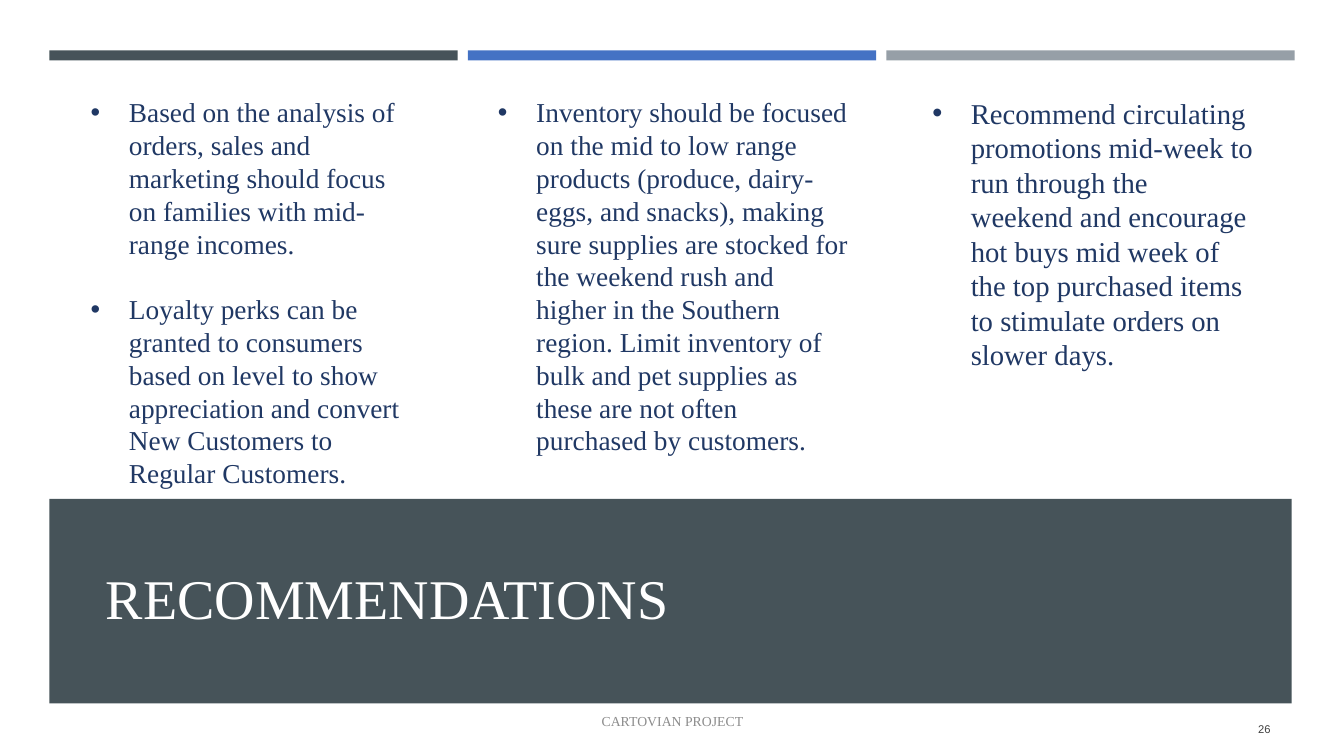
from pptx import Presentation
from pptx.dml.color import RGBColor
from pptx.enum.shapes import MSO_SHAPE
from pptx.enum.text import MSO_ANCHOR, PP_ALIGN
from pptx.oxml import parse_xml
from pptx.oxml.ns import nsdecls
from pptx.util import Inches, Pt

SERIF = "Times New Roman"
SLATE = "465359"
NAVY = "203864"


def color(code):
    """Turn a hex string into a colour."""
    return RGBColor.from_string(code)


def add_bar(slide, left, top, width, height, fill):
    """Draw a plain filled rectangle."""
    bar = slide.shapes.add_shape(
        MSO_SHAPE.RECTANGLE, Inches(left), Inches(top), Inches(width), Inches(height))
    bar.shadow.inherit = False
    bar.fill.solid()
    bar.fill.fore_color.rgb = color(fill)
    bar.line.fill.background()


def add_run(para, text, size, font, code):
    """Add one formatted run to a paragraph."""
    run = para.add_run()
    run.text = text
    run.font.size = Pt(size)
    run.font.name = font
    run.font.color.rgb = color(code)


def add_box(slide, left, top, width, height, anchor=MSO_ANCHOR.TOP):
    """Add a wrapping text box and return its frame."""
    box = slide.shapes.add_textbox(
        Inches(left), Inches(top), Inches(width), Inches(height))
    frame = box.text_frame
    frame.word_wrap = True
    frame.vertical_anchor = anchor
    return frame


def set_bullet(para):
    """Give a paragraph a round bullet with a hanging indent."""
    props = para._p.get_or_add_pPr()
    props.set("marL", str(Inches(0.38)))
    props.set("indent", str(-Inches(0.38)))
    props.append(parse_xml(f'<a:buFont {nsdecls("a")} typeface="Arial"/>'))
    props.append(parse_xml(f'<a:buChar {nsdecls("a")} char="•"/>'))


def add_list(slide, left, width, height, size, items):
    """Add a column of bulleted advice."""
    frame = add_box(slide, left, 0.9, width, height)
    for i, item in enumerate(items):
        para = frame.add_paragraph() if i else frame.paragraphs[0]
        para.line_spacing = Pt(size * 1.2)
        if i:
            para.space_before = Pt(size * 1.2)
        set_bullet(para)
        add_run(para, item, size, SERIF, NAVY)


def set_title(slide, text):
    """Place and format the title."""
    title = slide.shapes.title
    title.left, title.top = Inches(0.95), Inches(5.15)
    title.width, title.height = Inches(11.75), Inches(1.64)
    frame = title.text_frame
    frame.word_wrap = True
    frame.vertical_anchor = MSO_ANCHOR.MIDDLE
    para = frame.paragraphs[0]
    para.alignment = PP_ALIGN.LEFT
    para.line_spacing = 0.9
    add_run(para, text, 40, SERIF, "FFFFFF")


def add_note(slide, left, top, width, align, text, size, font, code):
    """Add a one-line footer text."""
    frame = add_box(slide, left, top, width, 0.4, MSO_ANCHOR.MIDDLE)
    para = frame.paragraphs[0]
    para.alignment = align
    add_run(para, text, size, font, code)


def main():
    """Build the slide and save it."""
    deck = Presentation()
    deck.slide_width, deck.slide_height = Inches(13.33), Inches(7.5)
    slide = deck.slides.add_slide(deck.slide_layouts[5])

    for i, fill in enumerate([SLATE, "4472C4", "969FA7"]):
        add_bar(slide, 0.49 + 4.15 * i, 0.5, 4.05, 0.1, fill)
    add_bar(slide, 0.49, 4.95, 12.32, 2.03, SLATE)
    title = slide.shapes.title._element
    title.getparent().append(title)
    set_title(slide, "RECOMMENDATIONS")

    add_list(slide, 0.8, 3.35, 4.05, 19.5, [
        "Based on the analysis of orders, sales and marketing should focus on "
        "families with mid-range incomes.",
        "Loyalty perks can be granted to consumers based on level to show "
        "appreciation and convert New Customers to Regular Customers."])
    add_list(slide, 4.84, 3.69, 3.71, 19.5, [
        "Inventory should be focused on the mid to low range products (produce, "
        "dairy-eggs, and snacks), making sure supplies are stocked for the weekend "
        "rush and higher in the Southern region. Limit inventory of bulk and pet "
        "supplies as these are not often purchased by customers."])
    add_list(slide, 9.15, 3.39, 2.86, 20.5, [
        "Recommend circulating promotions mid-week to run through the weekend and "
        "encourage hot buys mid week of the top purchased items to stimulate orders "
        "on slower days."])

    add_note(slide, 11.55, 7.03, 1.15, PP_ALIGN.RIGHT, "26", 8, "Arial", "404040")
    add_note(slide, 4.42, 6.95, 4.5, PP_ALIGN.CENTER, "CARTOVIAN PROJECT", 9.8,
             SERIF, "8C8C8C")
    deck.save("out.pptx")


if __name__ == "__main__":
    main()
